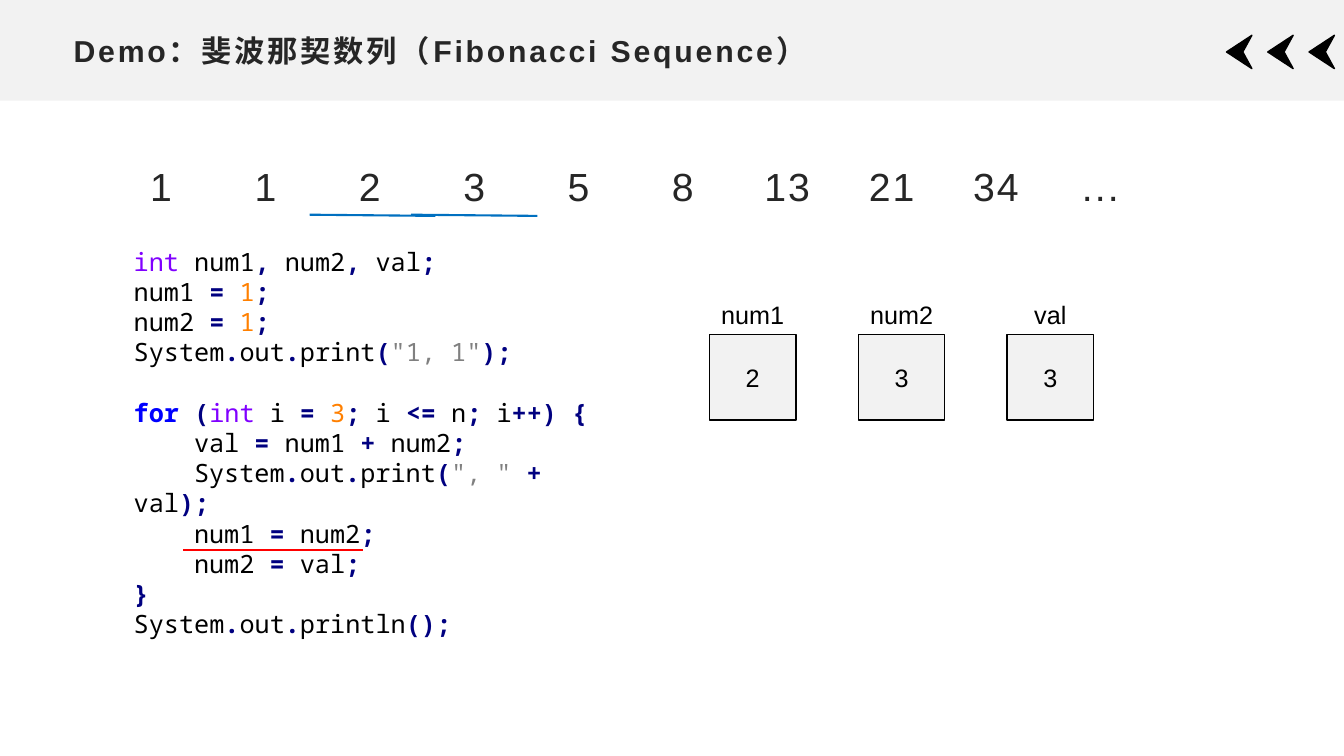
import pptx
import pptx.util
import pptx.dml.color
import pptx.enum.shapes
import pptx.enum.text
import pptx.oxml.ns
import lxml.etree
from dataclasses import dataclass

Cm = pptx.util.Cm
Pt = pptx.util.Pt
Align = pptx.enum.text.PP_ALIGN
Anchor = pptx.enum.text.MSO_ANCHOR
RGB = pptx.dml.color.RGBColor.from_string


@dataclass
class Theme:
    sans: str = "Arial"
    mono: str = "Noto Sans Mono"
    panel: str = "F2F2F2"
    heading: str = "262626"
    black: str = "000000"
    blue: str = "0070C0"
    red: str = "FF0000"
    type_word: str = "8000FF"
    keyword: str = "0000FF"
    operator: str = "000080"
    number: str = "FF8000"
    string: str = "808080"
    title_size: float = 21.6
    sequence_size: float = 28
    body_size: float = 18


theme = Theme()


def format_span(span, size, colour, face=theme.sans, bold=False, spacing=0):
    span.font.size = Pt(size)
    span.font.name = face
    span.font.bold = bold
    span.font.color.rgb = RGB(colour)
    if spacing:
        span.font._element.set("spc", str(spacing))


def write_centred(box, text, size, colour, spacing=0):
    box.text_frame.word_wrap = True
    box.text_frame.text = text
    para = box.text_frame.paragraphs[0]
    para.alignment = Align.CENTER
    format_span(para.runs[0], size, colour, spacing=spacing)
    return para


deck = pptx.Presentation()
deck.slide_width = Cm(33.87)
deck.slide_height = Cm(19.05)
page = deck.slides.add_slide(deck.slide_layouts[5])
shapes = page.shapes

bar = shapes.add_shape(pptx.enum.shapes.MSO_SHAPE.RECTANGLE, 0, 0, deck.slide_width, Cm(2.54))
bar.shadow.inherit = False
bar.fill.solid()
bar.fill.fore_color.rgb = RGB(theme.panel)
bar.line.fill.background()
shapes._spTree.insert(2, bar._element)

title = shapes.title
title.left, title.top, title.width, title.height = Cm(1.6), Cm(0.66), Cm(30.66), Cm(1.22)
title.text_frame.text = "Demo：斐波那契数列（Fibonacci Sequence）"
title.text_frame.auto_size = pptx.enum.text.MSO_AUTO_SIZE.NONE
title.text_frame.vertical_anchor = Anchor.MIDDLE
title.text_frame.paragraphs[0].alignment = Align.LEFT
format_span(title.text_frame.paragraphs[0].runs[0], theme.title_size, theme.heading,
            bold=True, spacing=200)

for index in range(3):
    tip = 30.91 + 1.04 * index
    outline = shapes.build_freeform(Cm(tip + 0.64), Cm(1.73))
    outline.add_line_segments([(Cm(tip), Cm(1.31)), (Cm(tip + 0.64), Cm(0.89)),
                               (Cm(tip + 0.41), Cm(1.31))], close=True)
    arrow = outline.convert_to_shape()
    arrow.shadow.inherit = False
    arrow.fill.solid()
    arrow.fill.fore_color.rgb = RGB(theme.black)
    arrow.line.color.rgb = RGB(theme.black)
    arrow.line.width = Pt(1)

for index, term in enumerate(["1", "1", "2", "3", "5", "8", "13", "21", "34", "..."]):
    box = shapes.add_textbox(Cm(3.12 + 2.63 * index), Cm(3.62), Cm(1.88), Cm(1.78))
    para = write_centred(box, term, theme.sequence_size, theme.heading, spacing=150)
    para.line_spacing = 1.3
    para.space_after = Pt(10)

for index, (name, value) in enumerate([("num1", "2"), ("num2", "3"), ("val", "3")]):
    left = Cm(17.88 + 3.75 * index)
    cell = shapes.add_shape(pptx.enum.shapes.MSO_SHAPE.RECTANGLE,
                            left, Cm(8.43), Cm(2.18), Cm(2.16))
    cell.shadow.inherit = False
    cell.fill.solid()
    cell.fill.fore_color.rgb = RGB(theme.panel)
    cell.line.color.rgb = RGB(theme.black)
    cell.line.width = Pt(1)
    cell.text_frame.vertical_anchor = Anchor.MIDDLE
    write_centred(cell, value, theme.body_size, theme.black)
    label = shapes.add_textbox(left, Cm(7.42), Cm(2.18), Cm(1.02))
    write_centred(label, name, theme.body_size, theme.black)

code_lines = [
    (0, 'int| num1|,| num2|,| val|;'),
    (0, 'num1 |=| |1|;'),
    (0, 'num2 |=| |1|;'),
    (0, 'System|.|out|.|print|(|"1, 1"|);'),
    (0, 'for| |(|int| i |=| |3|;| i |<=| n|;| i|++)| |{'),
    (1, 'val |=| num1 |+| num2|;'),
    (1, 'System|.|out|.|print|(|", "| |+| val|);'),
    (1, 'num1 |=| num2|;'),
    (1, 'num2 |=| val|;'),
    (0, '}'),
    (0, 'System|.|out|.|println|();'),
]
code = shapes.add_textbox(Cm(3.12), Cm(6.07), Cm(12.4), Cm(9.5))
code.text_frame.word_wrap = True
for index, (level, line) in enumerate(code_lines):
    para = code.text_frame.paragraphs[0] if index == 0 else code.text_frame.add_paragraph()
    if level:
        para._p.get_or_add_pPr().set("indent", str(Cm(1.52)))
    if line.startswith("for"):
        para.space_before = Pt(21.6)
    for token in line.split("|"):
        colour, bold = theme.black, False
        if token == "int":
            colour = theme.type_word
        elif token == "for":
            colour, bold = theme.keyword, True
        elif token.startswith('"'):
            colour = theme.string
        elif token.isdigit():
            colour = theme.number
        elif set(token) <= set(".,;=<+(){}"):
            colour, bold = theme.operator, True
        span = para.add_run()
        span.text = token
        format_span(span, theme.body_size, colour, theme.mono, bold)

underlines = [
    (7.8, 5.41, 10.97, 5.44, theme.blue),
    (10.36, 5.41, 13.54, 5.44, theme.blue),
    (4.62, 13.87, 9.14, 13.87, theme.red),
]
for left, top, right, bottom, colour in underlines:
    underline = shapes.add_connector(pptx.enum.shapes.MSO_CONNECTOR.STRAIGHT,
                                     Cm(left), Cm(top), Cm(right), Cm(bottom))
    underline.line.color.rgb = RGB(colour)
    underline.line.width = Pt(1.5)
    lxml.etree.SubElement(underline._element.spPr, pptx.oxml.ns.qn("a:effectLst"))

deck.save("out.pptx")
